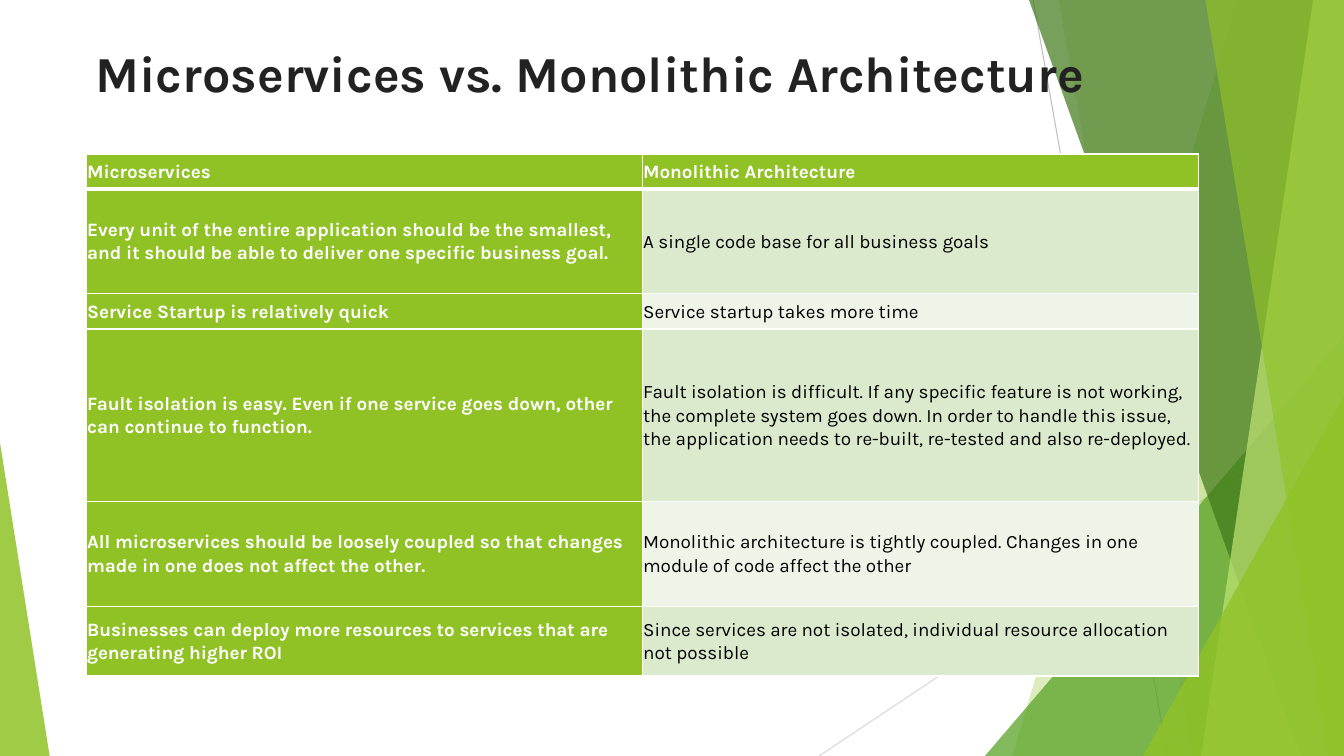
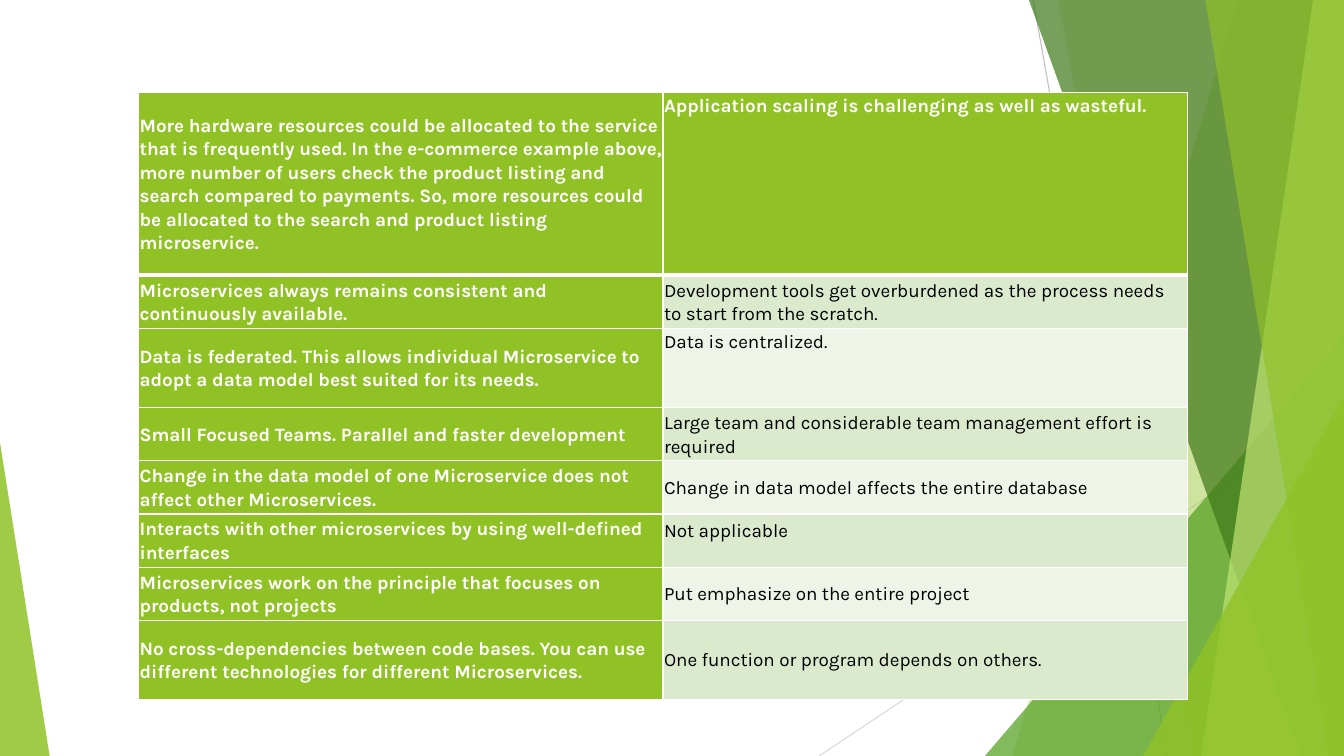
import dataclasses

import lxml.etree
import pptx
import pptx.dml.color
import pptx.enum.shapes
import pptx.enum.text
import pptx.oxml.ns
import pptx.util

Pt = pptx.util.Pt
qn = pptx.oxml.ns.qn
MIDDLE = pptx.enum.text.MSO_ANCHOR.MIDDLE
TOP = pptx.enum.text.MSO_ANCHOR.TOP


@dataclasses.dataclass(frozen=True)
class Theme:
    width: float = 960
    height: float = 540
    font: str = "Karla"
    title_size: float = 36
    table_size: float = 13.5
    inset: float = 0.72
    rule: float = 1
    header_rule: float = 3
    hairline: float = 0.75
    white: str = "FFFFFF"
    black: str = "000000"
    ink: str = "222222"
    lime: str = "90C226"
    pale_lime: str = "C0E474"
    leaf: str = "54A021"
    forest: str = "3F7819"
    bands: tuple = ("DBE9CD", "EEF4E8")
    grey: str = "BFBFBF"
    light_grey: str = "D9D9D9"


THEME = Theme()

COMPARISON_ROWS = [
    (25, "Microservices", "Monolithic Architecture"),
    (74.5, "Every unit of the entire application should be the smallest, and it should be able "
     "to deliver one specific business goal.",
     "A single code base for all business goals"),
    (25.5, "Service Startup is relatively quick", "Service startup takes more time"),
    (123, "Fault isolation is easy. Even if one service goes down, other can continue to function.",
     "Fault isolation is difficult. If any specific feature is not working, the complete system "
     "goes down. In order to handle this issue, the application needs to re-built, re-tested and "
     "also re-deployed."),
    (75, "All microservices should be loosely coupled so that changes made in one does not affect "
     "the other.",
     "Monolithic architecture is tightly coupled. Changes in one module of code affect the other"),
    (50, "Businesses can deploy more resources to services that are generating higher ROI",
     "Since services are not isolated, individual resource allocation not possible"),
]

CONTINUED_ROWS = [
    (130.5, "More hardware resources could be allocated to the service that is frequently used. "
     "In the e-commerce example above, more number of users check the product listing and search "
     "compared to payments. So, more resources could be allocated to the search and product "
     "listing microservice.",
     "Application scaling is challenging as well as wasteful."),
    (38, "Microservices always remains consistent and continuously available.",
     "Development tools get overburdened as the process needs to start from the scratch."),
    (56.5, "Data is federated. This allows individual Microservice to adopt a data model best "
     "suited for its needs.",
     "Data is centralized."),
    (38, "Small Focused Teams. Parallel and faster development",
     "Large team and considerable team management effort is required"),
    (38, "Change in the data model of one Microservice does not affect other Microservices.",
     "Change in data model affects the entire database"),
    (38, "Interacts with other microservices by using well-defined interfaces", "Not applicable"),
    (38, "Microservices work on the principle that focuses on products, not projects",
     "Put emphasize on the entire project"),
    (56.5, "No cross-dependencies between code bases. You can use different technologies for "
     "different Microservices.",
     "One function or program depends on others."),
]


def rgb(value):
    return pptx.dml.color.RGBColor.from_string(value)


def apply_format(target, values):
    for attribute, value in values.items():
        setattr(target, attribute, value)


def write(frame, text, size, color, bold, paragraph_format):
    frame.text = text
    paragraph = frame.paragraphs[0]
    apply_format(paragraph, paragraph_format)
    font = paragraph.runs[0].font
    apply_format(font, {"name": THEME.font, "size": Pt(size), "bold": bold})
    font.color.rgb = rgb(color)


def tint(shape, color, opacity):
    shape.shadow.inherit = False
    shape.line.fill.background()
    shape.fill.solid()
    shape.fill.fore_color.rgb = rgb(color)
    color_node = shape._element.spPr.find(qn("a:solidFill"))[0]
    lxml.etree.SubElement(color_node, qn("a:alpha"), val=str(opacity * 1000))


def add_hairline(slide, start, end, color):
    hairline = slide.shapes.add_connector(
        pptx.enum.shapes.MSO_CONNECTOR.STRAIGHT, *map(Pt, start + end))
    hairline.line.width = Pt(THEME.hairline)
    hairline.line.color.rgb = rgb(color)
    lxml.etree.SubElement(hairline._element.spPr, qn("a:effectLst"))


def add_ribbon(slide, top_x, bottom_x, color, opacity):
    right, bottom = Pt(THEME.width), Pt(THEME.height)
    outline = slide.shapes.build_freeform(Pt(top_x), 0)
    outline.add_line_segments([(right, 0), (right, bottom), (Pt(bottom_x), bottom)])
    tint(outline.convert_to_shape(), color, opacity)


def add_corner(slide, left, right, top, peak, color, opacity):
    corner = slide.shapes.add_shape(
        pptx.enum.shapes.MSO_SHAPE.ISOSCELES_TRIANGLE,
        Pt(left), Pt(top), Pt(right - left), Pt(THEME.height - top))
    corner.adjustments[0] = peak
    tint(corner, color, opacity)


def add_backdrop(slide):
    add_hairline(slide, (738, 0), (834, THEME.height), THEME.grey)
    add_hairline(slide, (THEME.width, 290), (585, THEME.height), THEME.light_grey)
    add_ribbon(slide, 884, 723, THEME.lime, 30)
    add_ribbon(slide, 756, 852, THEME.lime, 20)
    add_corner(slide, 703.5, THEME.width, 240, 1, THEME.leaf, 72)
    add_ribbon(slide, 735, 929.5, THEME.forest, 70)
    add_ribbon(slide, 938, 858, THEME.pale_lime, 70)
    add_ribbon(slide, 861, 949, THEME.lime, 65)
    add_corner(slide, 816.5, THEME.width, 283, 1, THEME.lime, 80)
    add_corner(slide, 0, 35.5, 316, 0, THEME.lime, 85)


def add_title(slide, text):
    title = slide.shapes.add_textbox(Pt(61), Pt(26.5), Pt(828), Pt(104.5))
    apply_format(title.text_frame, {"word_wrap": True, "vertical_anchor": TOP})
    write(title.text_frame, text, THEME.title_size, THEME.ink, True, {})


def add_borders(cell, widths):
    properties = cell._tc.get_or_add_tcPr()
    for side, width in widths.items():
        border = lxml.etree.SubElement(properties, qn(f"a:ln{side}"), w=str(Pt(width)))
        fill = lxml.etree.SubElement(border, qn("a:solidFill"))
        lxml.etree.SubElement(fill, qn("a:srgbClr"), val=THEME.white)


def format_cell(cell, text, row, column, top_inset):
    emphasized = row == 0 or column == 0
    widths = dict.fromkeys("LRTB", THEME.rule)
    if row == 0:
        widths["B"] = THEME.header_rule
    elif row == 1:
        widths["T"] = THEME.header_rule
    add_borders(cell, widths)
    cell.fill.solid()
    cell.fill.fore_color.rgb = rgb(THEME.lime if emphasized else THEME.bands[(row - 1) % 2])
    inset = Pt(THEME.inset)
    apply_format(cell, {
        "margin_left": inset, "margin_right": inset, "margin_bottom": inset,
        "margin_top": Pt(top_inset or THEME.inset),
        "vertical_anchor": TOP if top_inset else MIDDLE,
    })
    write(cell.text_frame, text, THEME.table_size,
          THEME.white if emphasized else THEME.black, emphasized,
          {"line_spacing": 1.07, "space_after": Pt(8)})


def add_comparison(slide, left, top, column_width, rows, top_insets):
    heights = [height for height, *_ in rows]
    table = slide.shapes.add_table(
        len(rows), 2, Pt(left), Pt(top), Pt(2 * column_width), Pt(sum(heights))).table
    apply_format(table, {"first_row": False, "horz_banding": False})
    for column in table.columns:
        column.width = Pt(column_width)
    for row, (height, *texts) in enumerate(rows):
        table.rows[row].height = Pt(height)
        for column, text in enumerate(texts):
            top_inset = top_insets.get(row) if column else None
            format_cell(table.cell(row, column), text, row, column, top_inset)


def add_slide(deck):
    slide = deck.slides.add_slide(deck.slide_layouts[6])
    add_backdrop(slide)
    return slide


def main():
    deck = pptx.Presentation()
    apply_format(deck, {"slide_width": Pt(THEME.width), "slide_height": Pt(THEME.height)})

    comparison = add_slide(deck)
    add_title(comparison, "Microservices vs. Monolithic Architecture")
    add_comparison(comparison, 61.5, 110, 397.2, COMPARISON_ROWS, {})

    continued = add_slide(deck)
    add_comparison(continued, 99, 66.2, 374.6, CONTINUED_ROWS,
                   {0: THEME.inset, 2: THEME.inset, 5: 3.5})

    deck.save("out.pptx")


if __name__ == "__main__":
    main()
